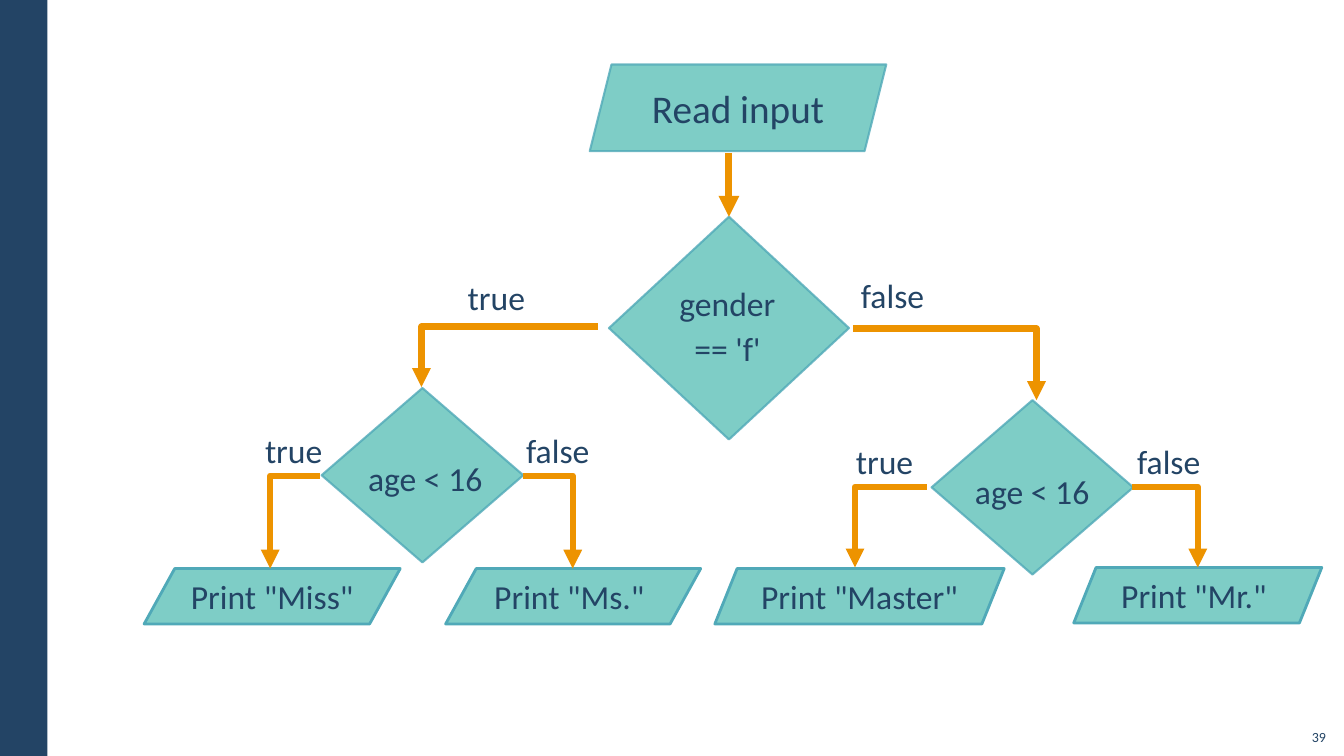
"""Build a flowchart slide that picks a form of address from gender and age."""
from dataclasses import dataclass

import pptx
import pptx.dml.color
import pptx.enum.shapes
import pptx.enum.text
import pptx.oxml
import pptx.oxml.ns
import pptx.util

Inches = pptx.util.Inches
Pt = pptx.util.Pt
SHAPES = pptx.enum.shapes.MSO_SHAPE
CONNECTORS = pptx.enum.shapes.MSO_CONNECTOR
ANCHORS = pptx.enum.text.MSO_ANCHOR
ALIGN = pptx.enum.text.PP_ALIGN

COLOURS = {"navy": "234465", "teal": "5EC1B8", "edge": "50A9B8", "orange": "ED9300"}
FONT = "Calibri"
LABEL_WIDTHS = {"true": 0.78, "false": 0.84}


@dataclass(frozen=True)
class Step:
    text: str
    left: float
    top: float
    width: float
    height: float = 0.55
    slant: float = 0.403
    size: int = 24
    edge_width: float = 2
    edge_alpha: int = 100


@dataclass(frozen=True)
class Decision:
    lines: tuple[str, ...]
    left: float
    top: float
    width: float
    height: float
    text_box: tuple[float, float, float, float]


@dataclass(frozen=True)
class Branch:
    label: str
    label_left: float
    label_top: float
    start: tuple[float, float]
    end: tuple[float, float]


STEPS = [
    Step("Read input", 5.85, 0.64, 2.94, 0.86, 0.25, 28, 1.5, 80),
    Step('Print "Miss" ', 1.43, 5.64, 2.54, slant=0.552),
    Step('Print "Ms." ', 4.42, 5.64, 2.53, slant=0.552),
    Step('Print "Master" ', 7.09, 5.64, 2.87),
    Step('Print "Mr." ', 10.65, 5.63, 2.46),
]
GENDER = Decision(("gender", "== 'f'"), 6.04, 2.15, 2.38, 2.21, (6.18, 2.65, 2.07, 1.1))
AGES = [
    Decision(("age < 16",), 3.19, 3.85, 2, 1.73, (3.49, 4.38, 1.55, 0.66)),
    Decision(("age < 16",), 9.24, 3.97, 2, 1.73, (9.51, 4.51, 1.55, 0.66)),
]
BRANCHES = [
    Branch("true", 4.54, 2.7, (5.93, 3.24), (4.18, 3.84)),
    Branch("false", 8.44, 2.68, (8.46, 3.26), (10.28, 3.97)),
    Branch("true", 2.53, 4.22, (3.17, 4.72), (2.68, 5.64)),
    Branch("false", 5.12, 4.22, (5.19, 4.72), (5.68, 5.64)),
    Branch("true", 8.39, 4.33, (9.19, 4.83), (8.48, 5.63)),
    Branch("false", 11.18, 4.33, (11.23, 4.83), (11.88, 5.63)),
]


def colour(name: str) -> pptx.dml.color.RGBColor:
    return pptx.dml.color.RGBColor.from_string(COLOURS[name])


def add_element(parent, tag: str, **attributes: str) -> None:
    element = pptx.oxml.parse_xml(f"<{tag} {pptx.oxml.ns.nsdecls('a')}/>")
    for name, value in attributes.items():
        element.set(name, value)
    parent.append(element)


def set_alpha(owner, percent: int) -> None:
    fill = owner.find(pptx.oxml.ns.qn("a:solidFill"))
    add_element(fill[0], "a:alpha", val=str(percent * 1000))


def add_span(para, text: str, size: int) -> None:
    span = para.add_run()
    span.text = text
    span.font.name = FONT
    span.font.size = Pt(size)
    span.font.color.rgb = colour("navy")


def draw_outline(page, kind, item: Step | Decision, edge_width: float, edge_alpha: int):
    shape = page.shapes.add_shape(
        kind, Inches(item.left), Inches(item.top), Inches(item.width), Inches(item.height))
    shape.shadow.inherit = False
    shape.fill.solid()
    shape.fill.fore_color.rgb = colour("teal")
    shape.line.color.rgb = colour("edge")
    shape.line.width = Pt(edge_width)
    properties = shape.element.spPr
    set_alpha(properties, 80)
    if edge_alpha < 100:
        set_alpha(properties.find(pptx.oxml.ns.qn("a:ln")), edge_alpha)
    return shape


def draw_step(page, step: Step) -> None:
    shape = draw_outline(page, SHAPES.PARALLELOGRAM, step, step.edge_width, step.edge_alpha)
    shape.adjustments[0] = step.slant
    frame = shape.text_frame
    frame.word_wrap = True
    frame.vertical_anchor = ANCHORS.MIDDLE
    para = frame.paragraphs[0]
    para.alignment = ALIGN.CENTER
    add_span(para, step.text, step.size)


def draw_decision(page, decision: Decision):
    diamond = draw_outline(page, SHAPES.DIAMOND, decision, 1.5, 80)
    box = page.shapes.add_textbox(*map(Inches, decision.text_box))
    frame = box.text_frame
    frame.word_wrap = True
    frame.margin_left = frame.margin_right = Inches(0.16)
    frame.margin_top = frame.margin_bottom = Inches(0.12)
    para = frame.paragraphs[0]
    para.alignment = ALIGN.CENTER if len(decision.lines) > 1 else ALIGN.LEFT
    para.line_spacing = 1.1
    for index, line in enumerate(decision.lines):
        if index:
            para.add_line_break()
        add_span(para, line, 24)
    return diamond


def draw_arrow(page, kind, start: tuple[float, float], end: tuple[float, float], width: float):
    arrow = page.shapes.add_connector(kind, *map(Inches, start + end))
    arrow.line.color.rgb = colour("orange")
    arrow.line.width = Pt(width)
    properties = arrow.element.spPr
    add_element(properties.find(pptx.oxml.ns.qn("a:ln")), "a:tailEnd", type="triangle")
    add_element(properties, "a:effectLst")
    if kind == CONNECTORS.ELBOW:
        properties.find(pptx.oxml.ns.qn("a:prstGeom")).set("prst", "bentConnector2")
    return arrow


def draw_branch(page, branch: Branch) -> None:
    draw_arrow(page, CONNECTORS.ELBOW, branch.start, branch.end, 4.5)
    box = page.shapes.add_textbox(
        Inches(branch.label_left), Inches(branch.label_top),
        Inches(LABEL_WIDTHS[branch.label]), Inches(0.5))
    box.text_frame.word_wrap = False
    add_span(box.text_frame.paragraphs[0], branch.label, 24)


def draw_frame(page, height: int) -> None:
    band = page.shapes.add_shape(SHAPES.RECTANGLE, 0, 0, Inches(0.47), height)
    band.shadow.inherit = False
    band.fill.solid()
    band.fill.fore_color.rgb = colour("navy")
    band.line.fill.background()
    number = page.shapes.add_textbox(Inches(12.85), Inches(7.12), Inches(0.4), Inches(0.32))
    frame = number.text_frame
    frame.word_wrap = True
    frame.vertical_anchor = ANCHORS.BOTTOM
    para = frame.paragraphs[0]
    para.alignment = ALIGN.RIGHT
    add_span(para, "39", 10)


def main() -> None:
    deck = pptx.Presentation()
    deck.slide_width = Inches(13.33)
    deck.slide_height = Inches(7.5)
    page = deck.slides.add_slide(deck.slide_layouts[6])
    draw_frame(page, deck.slide_height)
    for step in STEPS:
        draw_step(page, step)
    gender = draw_decision(page, GENDER)
    for age in AGES:
        draw_decision(page, age)
    entry = draw_arrow(page, CONNECTORS.STRAIGHT, (7.23, 1.52), (7.23, 2.15), 5)
    entry.end_connect(gender, 0)
    for branch in BRANCHES:
        draw_branch(page, branch)
    deck.save("out.pptx")


if __name__ == "__main__":
    main()
